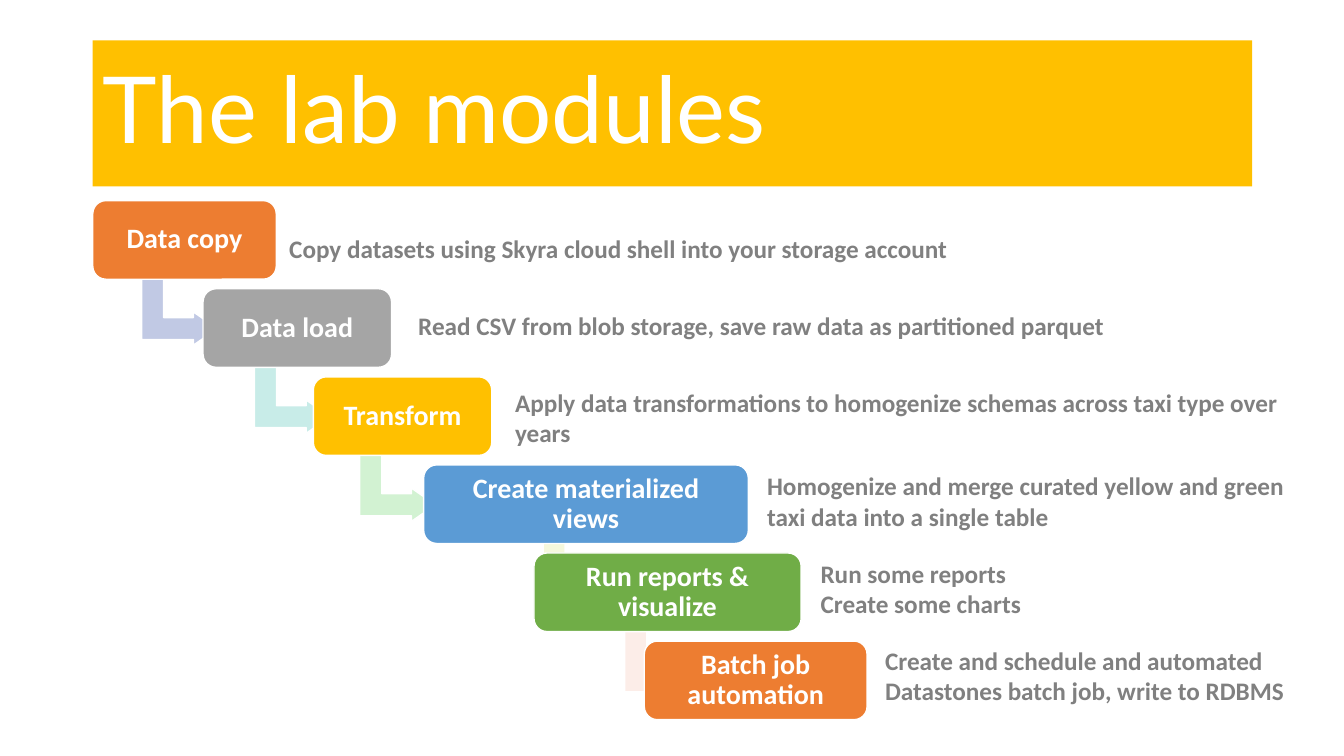
from dataclasses import dataclass

from pptx import Presentation
from pptx.dml.color import RGBColor
from pptx.enum.shapes import MSO_SHAPE
from pptx.enum.text import MSO_ANCHOR, PP_ALIGN
from pptx.util import Inches, Pt


@dataclass(frozen=True)
class Theme:
    white: str = "FFFFFF"
    orange: str = "ED7D31"
    gray: str = "A5A5A5"
    gold: str = "FFC000"
    blue: str = "5B9BD5"
    green: str = "70AD47"
    note: str = "808080"
    arrows: tuple = ("C1C9E4", "C8ECE8", "D2F2D2", "F5F8DC", "FCEDE8")
    title_font: str = "Lato"
    body_font: str = "Calibri"
    title_size: int = 66
    module_size: int = 20
    note_size: int = 18


THEME = Theme()

# Module name, box width, box fill
MODULES = [
    ("Data copy", 1.82, THEME.orange),
    ("Data load", 1.87, THEME.gray),
    ("Transform", 1.77, THEME.gold),
    ("Create materialized views", 3.22, THEME.blue),
    ("Run reports & visualize", 2.65, THEME.green),
    ("Batch job automation", 2.21, THEME.orange),
]

# Left, top, width, height of each description, then its paragraphs
DESCRIPTIONS = [
    ((2.77, 2.27, 7.43, 0.4),
     ["Copy datasets using Skyra cloud shell into your storage account"]),
    ((4.05, 3.03, 7.93, 0.4),
     ["Read CSV from blob storage, save raw data as partitioned parquet"]),
    ((5.01, 3.79, 7.93, 0.71),
     ["Apply data transformations to homogenize schemas across taxi type over years"]),
    ((7.51, 4.62, 6.62, 0.71),
     ["Homogenize and merge curated yellow and green \ntaxi data into a single table"]),
    ((8.04, 5.49, 6.62, 0.71), ["Run some reports\nCreate some charts"]),
    ((8.68, 6.35, 5.35, 0.71),
     ["Create and schedule and automated", "Datastones batch job, write to RDBMS"]),
]


def set_values(target, values):
    for name, value in values.items():
        setattr(target, name, value)


def write_text(shape, paragraphs, font, color, frame_format, paragraph_format):
    frame = shape.text_frame
    set_values(frame, {"word_wrap": True, **frame_format})
    for index, text in enumerate(paragraphs):
        paragraph = frame.add_paragraph() if index else frame.paragraphs[0]
        paragraph.text = text
        set_values(paragraph, paragraph_format)
        for run in paragraph.runs:
            set_values(run.font, font)
            run.font.color.rgb = RGBColor.from_string(color)


def add_filled_shape(slide, kind, box, fill, outline=None):
    shape = slide.shapes.add_shape(kind, *map(Inches, box))
    shape.shadow.inherit = False
    shape.fill.solid()
    shape.fill.fore_color.rgb = RGBColor.from_string(fill)
    if outline:
        shape.line.color.rgb = RGBColor.from_string(outline)
        shape.line.width = Pt(1)
    else:
        shape.line.fill.background()
    return shape


def add_title(slide, box):
    banner = add_filled_shape(slide, MSO_SHAPE.RECTANGLE, box, THEME.gold)
    write_text(banner, ["The lab modules"],
               {"name": THEME.title_font, "size": Pt(THEME.title_size)}, THEME.white,
               {"vertical_anchor": MSO_ANCHOR.MIDDLE},
               {"alignment": PP_ALIGN.LEFT, "line_spacing": 0.9})


def add_step_arrow(slide, center, top, fill):
    width, height = 0.66, 0.75
    box = (center - width / 2, top, width, height)
    arrow = add_filled_shape(slide, MSO_SHAPE.BENT_UP_ARROW, box, fill, THEME.white)
    arrow.rotation = 90
    for index, value in enumerate((0.33, 0.25, 0.36)):
        arrow.adjustments[index] = value


def add_module(slide, box, name, fill):
    module = add_filled_shape(slide, MSO_SHAPE.ROUNDED_RECTANGLE, box, fill, THEME.white)
    margins = dict.fromkeys(
        ("margin_left", "margin_right", "margin_top", "margin_bottom"), Inches(0.11))
    write_text(module, [name],
               {"name": THEME.body_font, "size": Pt(THEME.module_size), "bold": True},
               THEME.white, {"vertical_anchor": MSO_ANCHOR.MIDDLE, **margins},
               {"alignment": PP_ALIGN.CENTER, "line_spacing": 0.9})


def add_staircase(slide, box):
    """Spread the modules from the top left to the bottom right of the box."""
    left, top, width, height = box
    module_height = 0.78
    steps = len(MODULES) - 1
    step_x = (width - MODULES[-1][1]) / steps
    step_y = (height - module_height) / steps
    for index, (name, module_width, fill) in enumerate(MODULES):
        x, y = left + index * step_x, top + index * step_y
        if index < steps:
            add_step_arrow(slide, x + module_width / 2 - 0.05, y + 0.73,
                           THEME.arrows[index])
        add_module(slide, (x, y, module_width, module_height), name, fill)


def add_description(slide, box, paragraphs):
    text_box = slide.shapes.add_textbox(*map(Inches, box))
    write_text(text_box, paragraphs,
               {"name": THEME.body_font, "size": Pt(THEME.note_size), "bold": True},
               THEME.note, {"vertical_anchor": MSO_ANCHOR.TOP},
               {"alignment": PP_ALIGN.LEFT})


def main():
    presentation = Presentation()
    set_values(presentation, {"slide_width": Inches(13.33), "slide_height": Inches(7.5)})
    slide = presentation.slides.add_slide(presentation.slide_layouts[6])

    add_title(slide, (0.92, 0.4, 11.5, 1.45))
    add_staircase(slide, (0.92, 1.99, 7.68, 5.15))
    for box, paragraphs in DESCRIPTIONS:
        add_description(slide, box, paragraphs)

    presentation.save("out.pptx")


if __name__ == "__main__":
    main()
